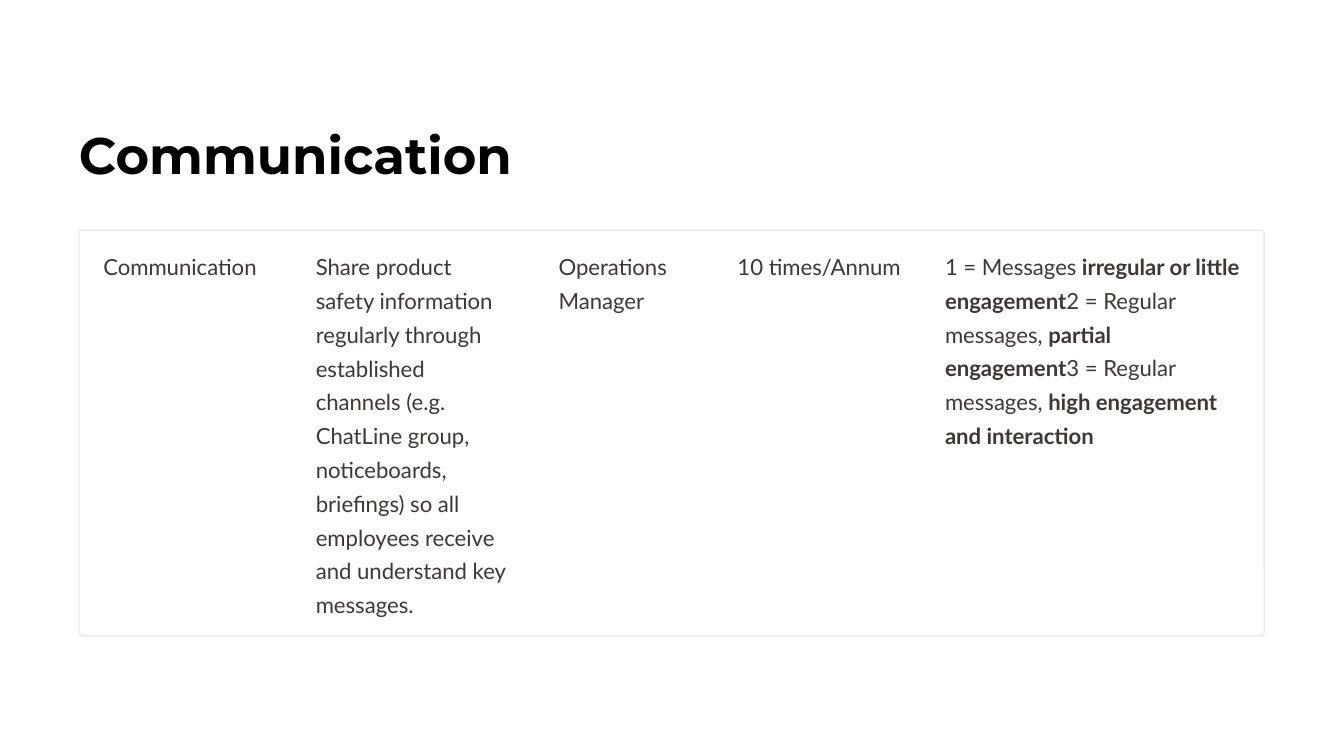
from lxml import etree
from pptx import Presentation
from pptx import util as u
from pptx.dml.color import RGBColor
from pptx.enum import shapes, text
from pptx.oxml.ns import qn

COLOURS = {"paper": "FFFFFF", "title": "000000", "border": "000000", "body": "3D3838"}
TITLE = {"name": "Montserrat", "size": u.Pt(44), "bold": True}
BODY = {"name": "Lato", "size": u.Pt(19), "bold": False}
ROW_TOP = 2.93

# left, width, height, wrap, spans of (wording, bold)
COLUMNS = [
    (1.23, 1.98, 0.4, False, [("Communication", False)]),
    (3.76, 2.34, 4.45, True, [(
        "Share product safety information regularly through established "
        "channels (e.g. ChatLine group, noticeboards, briefings) so all "
        "employees receive and understand key messages.", False)]),
    (6.65, 1.58, 0.81, True, [("Operations Manager", False)]),
    (8.78, 1.93, 0.4, False, [("10 times/Annum", False)]),
    (11.25, 3.51, 3.24, True, [
        ("1 = Messages", False), (" irregular or little engagement", True),
        ("2 = Regular messages, ", False), ("partial engagement", True),
        ("3 = Regular messages, ", False),
        ("high engagement and interaction", True)]),
]


def rgb(name):
    return RGBColor.from_string(COLOURS[name])


def set_opacity(fill_owner, percent):
    """Add an alpha value to the solid colour inside an XML element."""
    colour = fill_owner.find(qn("a:solidFill")).find(qn("a:srgbClr"))
    etree.SubElement(colour, qn("a:alpha")).set("val", str(percent * 1000))


class SlideBuilder:
    def __init__(self, deck):
        self.page = deck.slides.add_slide(deck.slide_layouts[5])
        background = self.page.background.fill
        background.solid()
        background.fore_color.rgb = rgb("paper")

    def set_text(self, box, spans, font, colour, spacing, wrap):
        frame = box.text_frame
        layout = {"margin_left": 0, "margin_top": 0, "margin_right": 0,
                  "margin_bottom": 0, "word_wrap": wrap,
                  "auto_size": text.MSO_AUTO_SIZE.NONE,
                  "vertical_anchor": text.MSO_ANCHOR.TOP}
        for key, value in layout.items():
            setattr(frame, key, value)
        para = frame.paragraphs[0]
        para.alignment = text.PP_ALIGN.LEFT
        para.line_spacing = u.Pt(spacing)
        for wording, bold in spans:
            span = para.add_run()
            span.text = wording
            for key, value in {**font, "bold": bold}.items():
                setattr(span.font, key, value)
            span.font.color.rgb = rgb(colour)

    def title(self, wording, left, top, width, height):
        box = self.page.shapes.title
        place = {"left": left, "top": top, "width": width, "height": height}
        for key, value in place.items():
            setattr(box, key, u.Inches(value))
        self.set_text(box, [(wording, True)], TITLE, "title", 55, False)

    def textbox(self, left, top, width, height, wrap, spans):
        box = self.page.shapes.add_textbox(*map(u.Inches, (left, top, width, height)))
        self.set_text(box, spans, BODY, "body", 29, wrap)

    def shape(self, kind, left, top, width, height):
        box = self.page.shapes.add_shape(kind, *map(u.Inches, (left, top, width, height)))
        box.shadow.inherit = False
        return box

    def frame(self, left, top, width, height):
        box = self.shape(shapes.MSO_SHAPE.ROUNDED_RECTANGLE, left, top, width, height)
        box.adjustments[0] = 0.008
        box.fill.background()
        box.line.color.rgb = rgb("border")
        box.line.width = u.Pt(1.2)
        set_opacity(box._element.spPr.find(qn("a:ln")), 8)

    def row_fill(self, left, top, width, height):
        box = self.shape(shapes.MSO_SHAPE.RECTANGLE, left, top, width, height)
        box.fill.solid()
        box.fill.fore_color.rgb = rgb("paper")
        set_opacity(box._element.spPr, 4)
        box.line.fill.background()


def main():
    deck = Presentation()
    deck.slide_width, deck.slide_height = u.Inches(16), u.Inches(9)
    slide = SlideBuilder(deck)
    slide.title("Communication", 0.94, 1.43, 6.13, 0.77)
    slide.frame(0.94, 2.74, 14.11, 4.83)
    slide.row_fill(0.96, 2.76, 14.08, 4.79)
    for left, width, height, wrap, spans in COLUMNS:
        slide.textbox(left, ROW_TOP, width, height, wrap, spans)
    deck.save("out.pptx")


if __name__ == "__main__":
    main()
